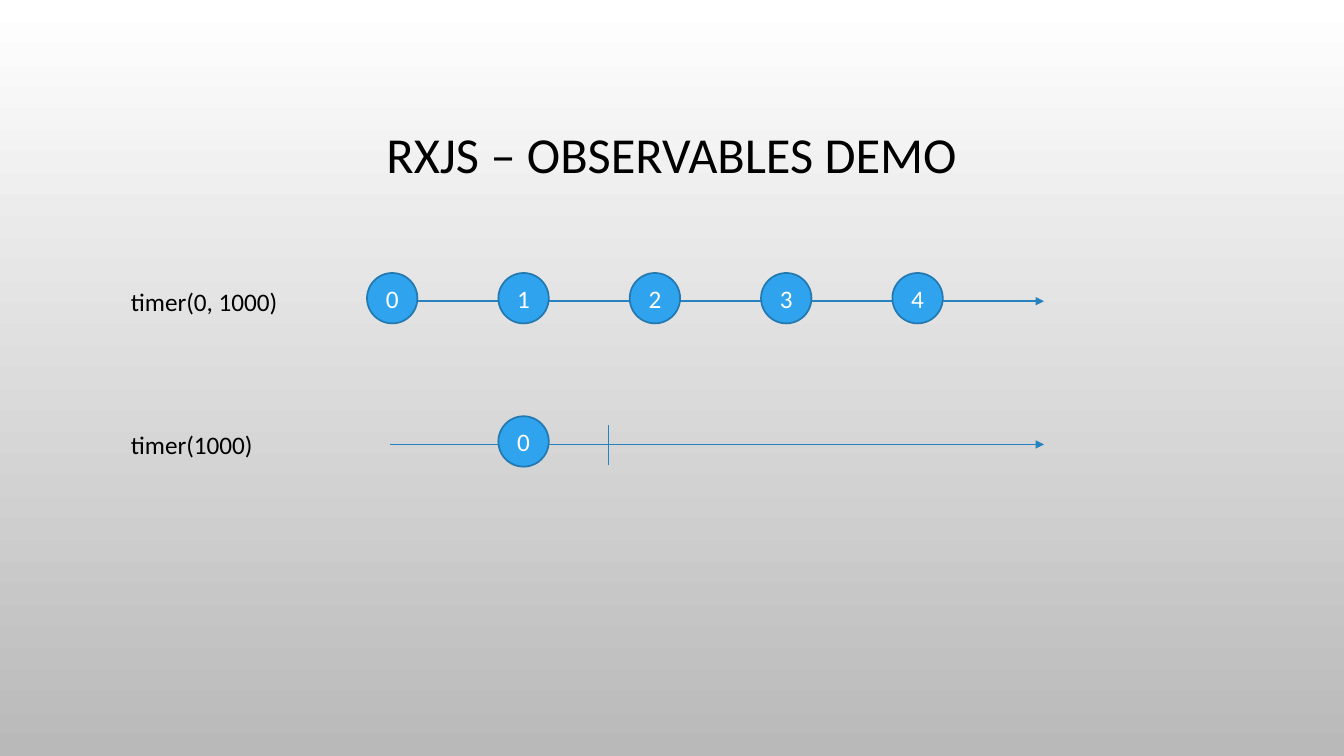
from lxml.etree import SubElement
from pptx import Presentation
from pptx.dml.color import RGBColor
from pptx.enum.shapes import MSO_CONNECTOR, MSO_SHAPE
from pptx.enum.text import MSO_ANCHOR, MSO_AUTO_SIZE, PP_ALIGN
from pptx.oxml.ns import qn
from pptx.util import Cm, Pt

COLORS = {
    "top": "FFFFFF",
    "bottom": "B9B9B9",
    "text": "000000",
    "axis": "2683BF",
    "event": "2FA3EE",
    "event_line": "2379B0",
    "event_text": "FFFFFF",
}
FONT = "Calibri"
AXIS_START, AXIS_END = 9.83, 26.31
EVENT_LEFT, EVENT_STEP, EVENT_SIZE = 9.25, 3.31, 1.27


def rgb(name):
    return RGBColor.from_string(COLORS[name])


def write(tf, text, size=18, color="text", align=PP_ALIGN.LEFT, anchor=MSO_ANCHOR.TOP, spacing=None):
    tf.vertical_anchor = anchor
    p = tf.paragraphs[0]
    p.alignment = align
    p.line_spacing = spacing
    r = p.add_run()
    r.text = text
    r.font.name = FONT
    r.font.size = Pt(size)
    r.font.color.rgb = rgb(color)


class MarbleSlide:
    def __init__(self, prs):
        self.s = prs.slides.add_slide(prs.slide_layouts[5])

    def background(self):
        fill = self.s.background.fill
        fill.gradient()
        fill.gradient_angle = 270
        for stop, name in zip(fill.gradient_stops, ("top", "bottom")):
            stop.color.rgb = rgb(name)

    def title(self, text):
        sp = self.s.shapes.title
        sp.left, sp.top, sp.width, sp.height = Cm(2.54), Cm(1.73), Cm(28.78), Cm(4.45)
        write(sp.text_frame, text, size=36, align=PP_ALIGN.CENTER, anchor=MSO_ANCHOR.MIDDLE, spacing=0.9)

    def label(self, text, y, width):
        sp = self.s.shapes.add_textbox(Cm(3.05), Cm(y - 0.5), Cm(width), Cm(1.02))
        tf = sp.text_frame
        tf.word_wrap = False
        tf.auto_size = MSO_AUTO_SIZE.SHAPE_TO_FIT_TEXT
        write(tf, text)

    def line(self, group, x1, y1, x2, y2, width, arrow=False):
        cx = group.shapes.add_connector(MSO_CONNECTOR.STRAIGHT, Cm(x1), Cm(y1), Cm(x2), Cm(y2))
        cx.line.color.rgb = rgb("axis")
        cx.line.width = Pt(width)
        if arrow:
            SubElement(cx.line._get_or_add_ln(), qn("a:tailEnd"), type="triangle")
        SubElement(cx._element.spPr, qn("a:effectLst"))

    def event(self, group, text, slot, y):
        sp = group.shapes.add_shape(
            MSO_SHAPE.OVAL, Cm(EVENT_LEFT + slot * EVENT_STEP), Cm(y - 0.71), Cm(EVENT_SIZE), Cm(EVENT_SIZE)
        )
        sp.shadow.inherit = False
        sp.fill.solid()
        sp.fill.fore_color.rgb = rgb("event")
        sp.line.color.rgb = rgb("event_line")
        sp.line.width = Pt(1.25)
        write(sp.text_frame, text, color="event_text", align=PP_ALIGN.CENTER, anchor=MSO_ANCHOR.MIDDLE)

    def timeline(self, text, y, label_width, first_slot, count, end_x=None):
        self.label(text, y, label_width)
        group = self.s.shapes.add_group_shape()
        self.line(group, AXIS_START, y, AXIS_END, y, 1.25, arrow=True)
        for i in range(count):
            self.event(group, str(i), first_slot + i, y)
        if end_x is not None:
            self.line(group, end_x, y - 0.5, end_x, y + 0.52, 1)


def main():
    prs = Presentation()
    prs.slide_width, prs.slide_height = Cm(33.87), Cm(19.05)
    slide = MarbleSlide(prs)
    slide.background()
    slide.title("RXJS – OBSERVABLES DEMO")
    slide.timeline("timer(0, 1000)", 7.59, 4.24, first_slot=0, count=5)
    slide.timeline("timer(1000)", 11.2, 3.63, first_slot=1, count=1, end_x=15.34)
    prs.save("out.pptx")


if __name__ == "__main__":
    main()
